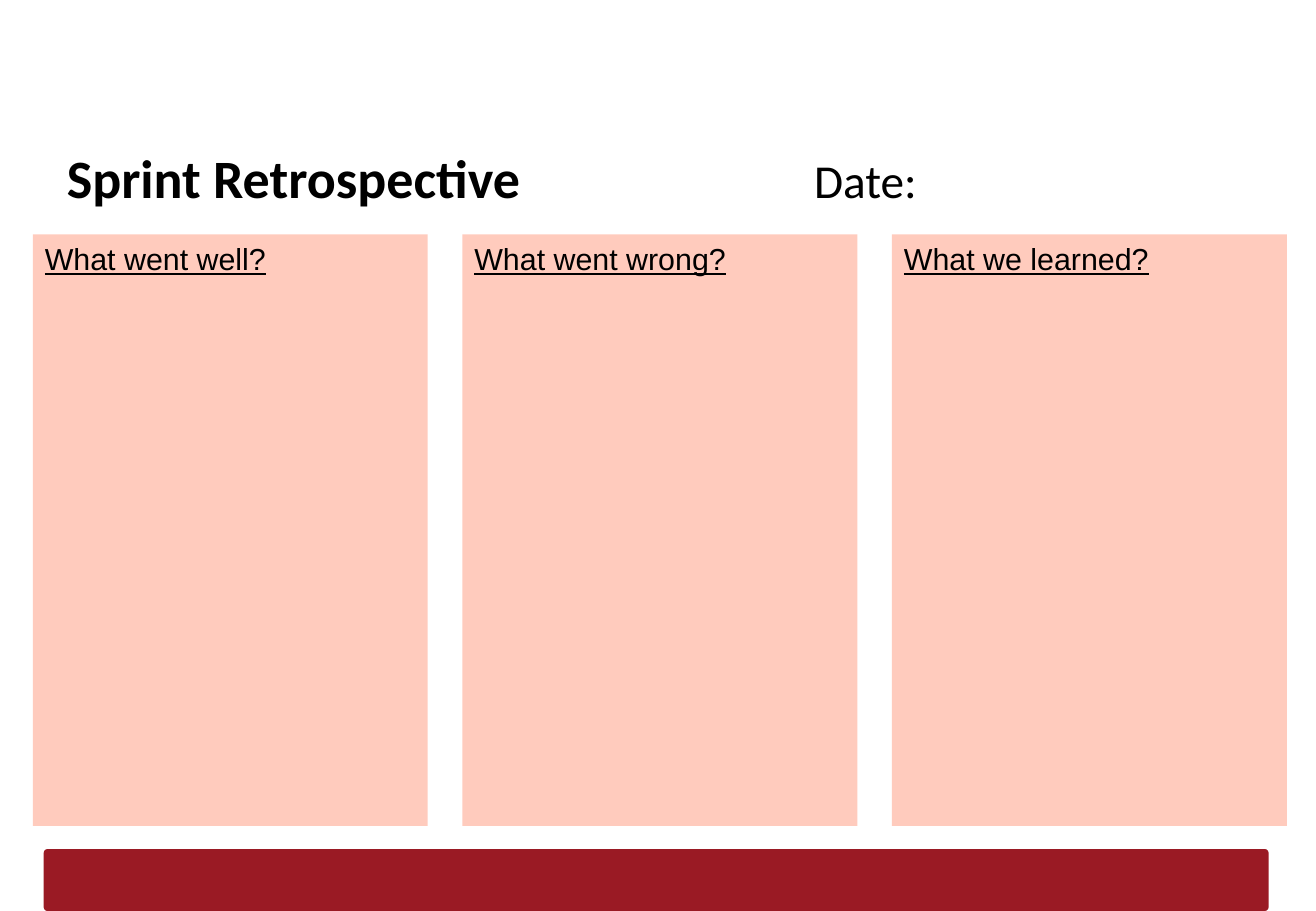
from typing import NamedTuple

from lxml.etree import SubElement
from pptx import Presentation
from pptx.dml.color import RGBColor
from pptx.enum.shapes import MSO_SHAPE as Shape
from pptx.enum.text import MSO_ANCHOR as Anchor, MSO_AUTO_SIZE as Fit, PP_ALIGN as Align
from pptx.oxml.ns import qn
from pptx.shapes.autoshape import Shape as Auto
from pptx.slide import Slide
from pptx.util import Inches, Pt

BLACK = RGBColor(0x00, 0x00, 0x00)
PINK = RGBColor(0xFF, 0xCB, 0xBD)
RED = RGBColor(0x9A, 0x1A, 0x24)

FIRST, LAST = 0.27, 7.34  # left edges of the outer panels
HEADS = ("What went well?", "What went wrong?", "What we learned?")


class Box(NamedTuple):
    left: float
    top: float
    width: float
    height: float


def add_block(slide: Slide, kind: Shape, box: Box, fill: RGBColor) -> Auto:
    block = slide.shapes.add_shape(kind, *map(Inches, box))
    block.shadow.inherit = False
    block.fill.solid()
    block.fill.fore_color.rgb = fill
    block.line.fill.background()
    return block


def add_panel(slide: Slide, box: Box, head: str) -> None:
    frame = add_block(slide, Shape.RECTANGLE, box, PINK).text_frame
    frame.word_wrap = True
    frame.vertical_anchor = Anchor.TOP
    para = frame.paragraphs[0]
    para.text = head
    para.alignment = Align.LEFT
    font = para.font
    font.name, font.size, font.underline = "Arial", Pt(18), True
    font.color.rgb = BLACK


def set_title(slide: Slide, box: Box) -> None:
    title = slide.shapes.title
    title.left, title.top, title.width, title.height = map(Inches, box)
    frame = title.text_frame
    frame.auto_size = Fit.NONE
    frame.vertical_anchor = Anchor.TOP
    frame.margin_left = frame.margin_right = Inches(0.1)
    frame.margin_top = frame.margin_bottom = Inches(0.1)
    para = frame.paragraphs[0]
    para.alignment = Align.LEFT
    tabs = SubElement(para._p.get_or_add_pPr(), qn("a:tabLst"))
    SubElement(tabs, qn("a:tab"), pos=str(Inches(6.15)), algn="l")
    para.font.name = "Calibri"
    para.font.color.rgb = BLACK
    for text, size, bold in (("Sprint Retrospective\t", 32, True), ("Date:", 28, False)):
        run = para.add_run()
        run.text = text
        run.font.size, run.font.bold = Pt(size), bold


def main() -> None:
    deck = Presentation()
    deck.slide_width, deck.slide_height = Inches(10.83), Inches(7.5)
    slide = deck.slides.add_slide(deck.slide_layouts[5])
    bar = add_block(slide, Shape.ROUNDED_RECTANGLE, Box(0.36, 6.99, 10.08, 0.51), RED)
    bar.adjustments[0] = 0.06
    set_title(slide, Box(0.45, 1.09, 9.89, 0.63))
    step = (LAST - FIRST) / (len(HEADS) - 1)
    for i, head in enumerate(HEADS):
        add_panel(slide, Box(FIRST + i * step, 1.93, 3.25, 4.87), head)
    deck.save("out.pptx")


if __name__ == "__main__":
    main()
